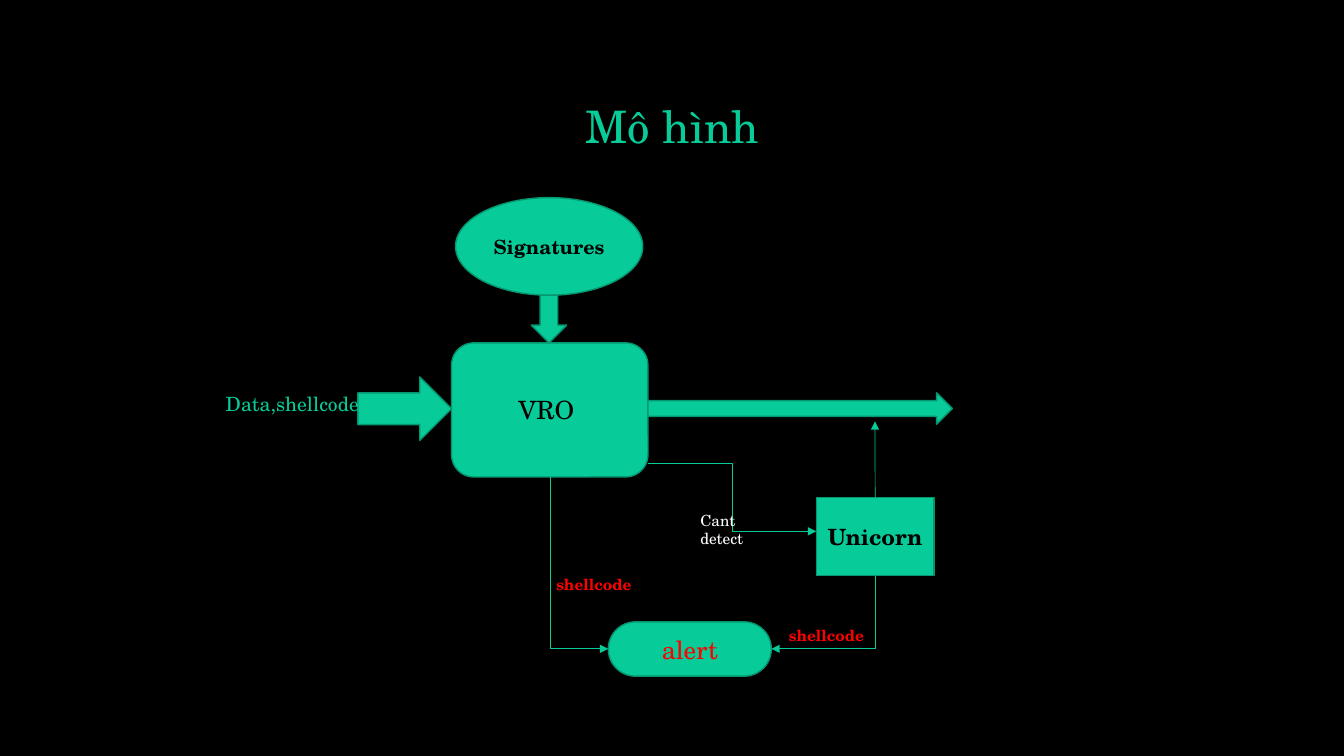
from lxml import etree
from pptx import Presentation
from pptx.dml.color import RGBColor
from pptx.enum.shapes import MSO_CONNECTOR, MSO_SHAPE
from pptx.enum.text import MSO_ANCHOR, PP_ALIGN
from pptx.oxml.ns import qn
from pptx.util import Cm, Pt

BLACK = RGBColor(0x00, 0x00, 0x00)
WHITE = RGBColor(0xFF, 0xFF, 0xFF)
RED = RGBColor(0xFF, 0x00, 0x00)
GREEN = RGBColor(0x07, 0xCB, 0x98)
DARK_GREEN = RGBColor(0x05, 0x96, 0x70)

STRAIGHT, ELBOW = MSO_CONNECTOR.STRAIGHT, MSO_CONNECTOR.ELBOW
RECTANGLE, ROUNDED = MSO_SHAPE.RECTANGLE, MSO_SHAPE.ROUNDED_RECTANGLE
ELLIPSE = MSO_SHAPE.OVAL
RIGHT_ARROW, DOWN_ARROW = MSO_SHAPE.RIGHT_ARROW, MSO_SHAPE.DOWN_ARROW
TOP, MIDDLE, BOTTOM = MSO_ANCHOR.TOP, MSO_ANCHOR.MIDDLE, MSO_ANCHOR.BOTTOM
LEFT, CENTER = PP_ALIGN.LEFT, PP_ALIGN.CENTER
TOP_SIDE = 0


def write(box, text, size=11, color=BLACK, bold=False, align=LEFT,
          anchor=TOP, wrap=True, spacing=None):
    frame = box.text_frame
    frame.word_wrap = wrap
    frame.vertical_anchor = anchor
    para = frame.paragraphs[0]
    para.alignment = align
    para.line_spacing = spacing
    span = para.add_run()
    span.text = text
    span.font.name = "TeX Gyre Schola"
    span.font.size = Pt(size)
    span.font.bold = bold
    span.font.color.rgb = color


class Diagram:
    def __init__(self, page):
        self.page = page
        page.background.fill.solid()
        page.background.fill.fore_color.rgb = BLACK

    def label(self, place, text, **style):
        box = self.page.shapes.add_textbox(*map(Cm, place))
        write(box, text, **style)

    def shape(self, kind, place, text="", **style):
        box = self.page.shapes.add_shape(kind, *map(Cm, place))
        box.shadow.inherit = False
        box.fill.solid()
        box.fill.fore_color.rgb = GREEN
        box.line.color.rgb = DARK_GREEN
        box.line.width = Pt(1)
        if text:
            write(box, text, align=CENTER, anchor=MIDDLE, **style)
        return box

    def arrow(self, kind, begin, end):
        line = self.page.shapes.add_connector(kind, *map(Cm, begin + end))
        line.line.color.rgb = GREEN
        line.line.width = Pt(0.5)
        tip = etree.SubElement(line.line._get_or_add_ln(), qn("a:tailEnd"))
        tip.set("type", "triangle")
        etree.SubElement(line._element.spPr, qn("a:effectLst"))
        return line

    def down_then_across(self, begin, end):
        middle_x = (begin[0] + end[0]) / 2
        middle_y = (begin[1] + end[1]) / 2
        across = abs(end[0] - begin[0]) / 2
        down = (end[1] - begin[1]) / 2
        rightward = end[0] > begin[0]
        reach = -down if rightward else down
        line = self.arrow(ELBOW, (middle_x - reach, middle_y - across),
                          (middle_x + reach, middle_y + across))
        properties = line._element.spPr
        properties.find(qn("a:prstGeom")).set("prst", "bentConnector2")
        angle = 270 if rightward else 90
        properties.find(qn("a:xfrm")).set("rot", str(angle * 60000))


def main():
    deck = Presentation()
    deck.slide_width, deck.slide_height = Cm(33.87), Cm(19.05)
    diagram = Diagram(deck.slides.add_slide(deck.slide_layouts[6]))

    diagram.label((3.61, 1.02, 26.67, 2.97), "Mô hình", size=32, color=GREEN,
                  align=CENTER, anchor=BOTTOM, spacing=0.9)

    diagram.shape(ROUNDED, (11.38, 8.64, 4.95, 3.38), "VRO ", size=18)
    diagram.shape(RIGHT_ARROW, (9.02, 9.5, 2.36, 1.6))
    diagram.label((5.44, 9.75, 3.91, 0.86), "Data,shellcode",
                  size=14, color=GREEN)
    diagram.shape(ELLIPSE, (11.48, 4.98, 4.72, 2.46), "Signatures",
                  size=14, bold=True)
    diagram.shape(DOWN_ARROW, (13.39, 7.44, 0.89, 1.2))
    alert = diagram.shape(ROUNDED, (15.33, 15.67, 4.11, 1.37), "alert",
                          size=18, color=RED)
    alert.adjustments[0] = 0.5
    unicorn = diagram.shape(RECTANGLE, (20.57, 12.53, 2.97, 1.98), "Unicorn",
                            size=16, bold=True)
    diagram.shape(RIGHT_ARROW, (16.33, 9.9, 7.67, 0.79))

    diagram.down_then_across((22.05, 14.51), (19.44, 16.35))
    diagram.down_then_across((13.87, 12.02), (15.33, 16.35))
    diagram.arrow(ELBOW, (16.33, 11.67), (20.57, 13.39))
    escape = diagram.arrow(STRAIGHT, (22.05, 12.53), (22.05, 10.62))
    escape.begin_connect(unicorn, TOP_SIDE)

    for left, top in ((13.77, 14.38), (19.63, 15.65)):
        diagram.label((left, top, 2.41, 0.74), "shellcode", color=RED,
                      bold=True, wrap=False)
    diagram.label((17.4, 12.75, 2.49, 0.74), "Cant detect", color=WHITE)

    deck.save("out.pptx")


if __name__ == "__main__":
    main()
